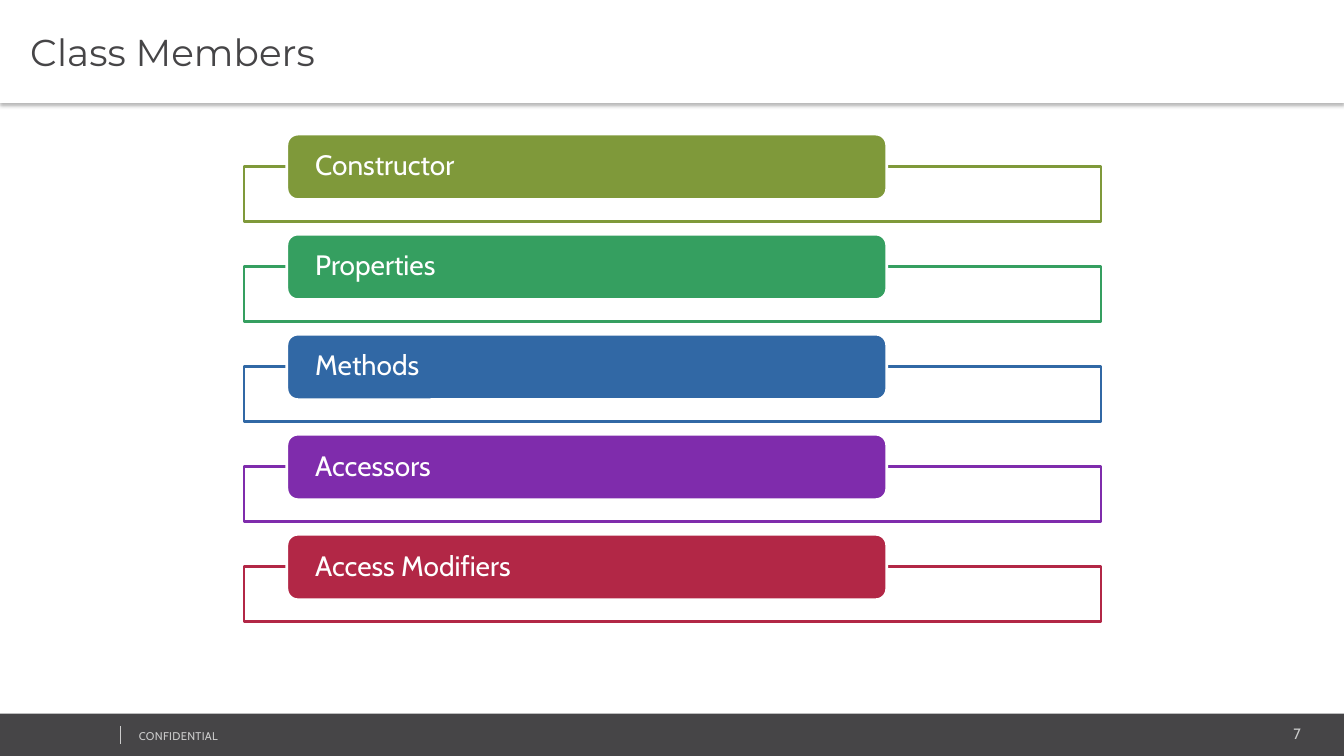
from lxml import etree
from pptx import Presentation
from pptx import util as u
from pptx.dml.color import RGBColor
from pptx.enum import shapes, text
from pptx.oxml import parse_xml
from pptx.oxml.ns import qn

I = u.Inches
DARK, PALE, WHITE = "464547", "CCCCCC", "FFFFFF"
MEMBERS = [
    ("Constructor", "7F993A"),
    ("Properties", "359F60"),
    ("Methods", "3168A5"),
    ("Accessors", "7F2CAC"),
    ("Access Modifiers", "B22746"),
]
TITLE_SHADOW = (
    '<a:effectLst xmlns:a="http://schemas.openxmlformats.org/drawingml/2006/main">'
    '<a:outerShdw blurRad="39370" dist="25400" dir="5400000" algn="t" rotWithShape="0">'
    '<a:srgbClr val="000000"><a:alpha val="30000"/></a:srgbClr>'
    '</a:outerShdw></a:effectLst>'
)


def rgb(value):
    """Turn a hex string into a colour."""
    return RGBColor.from_string(value)


def write(sp, words, size, font, color, insets, align=text.PP_ALIGN.LEFT):
    """Put one middle-anchored line of text in a shape and return its paragraph."""
    tf = sp.text_frame
    tf.word_wrap = True
    tf.auto_size = text.MSO_AUTO_SIZE.NONE
    tf.vertical_anchor = text.MSO_ANCHOR.MIDDLE
    tf.margin_left, tf.margin_top, tf.margin_right, tf.margin_bottom = map(I, insets)
    p = tf.paragraphs[0]
    p.alignment = align
    r = p.add_run()
    r.text = words
    r.font.size = u.Pt(size)
    r.font.name = font
    r.font.color.rgb = rgb(color)
    return p


def add_box(s, kind, x, y, w, h, fill, line=None):
    """Add a filled shape without shadow, outlined at 2 pt if a line colour is given."""
    sp = s.shapes.add_shape(kind, I(x), I(y), I(w), I(h))
    sp.shadow.inherit = False
    sp.fill.solid()
    sp.fill.fore_color.rgb = rgb(fill)
    if line:
        sp.line.color.rgb = rgb(line)
        sp.line.width = u.Pt(2)
    else:
        sp.line.fill.background()
    return sp


def add_title(s, x, y, w, h):
    """Style the title placeholder as a white band with a soft shadow."""
    sp = s.shapes.title
    sp.left, sp.top, sp.width, sp.height = I(x), I(y), I(w), I(h)
    sp.fill.solid()
    sp.fill.fore_color.rgb = rgb(WHITE)
    sp.element.spPr.append(parse_xml(TITLE_SHADOW))
    write(sp, "Class Members", 26.7, "Montserrat", DARK, (0.3, 0.04, 0.07, 0.04))


def add_member(s, x, y, w, h, name, color):
    """Draw an open frame with a coloured label over its top edge."""
    label_h = 0.65
    frame_h = 0.55
    frame = add_box(s, shapes.MSO_SHAPE.RECTANGLE, x, y + h - frame_h, w, frame_h, WHITE, color)
    tint = frame.element.spPr.find(qn("a:solidFill"))[0]
    etree.SubElement(tint, qn("a:alpha"), val="90000")
    label = add_box(s, shapes.MSO_SHAPE.ROUNDED_RECTANGLE,
                    x + w * 0.05, y, w * 0.7, label_h, color, WHITE)
    p = write(label, name, 20, "Cabin", WHITE, (0.25, 0, 0.25, 0))
    p.line_spacing = 0.9


def add_members(s, x, y, w, h):
    """Stack the class members at an equal pitch down the box."""
    item_h = 0.87
    pitch = (h - item_h) / (len(MEMBERS) - 1)
    for i, (name, color) in enumerate(MEMBERS):
        add_member(s, x, y + i * pitch, w, item_h, name, color)


def add_footer(s, x, y, w, h):
    """Draw the dark footer with divider, notice and page number."""
    add_box(s, shapes.MSO_SHAPE.RECTANGLE, x, y, w, h, DARK)
    divider = s.shapes.add_connector(shapes.MSO_CONNECTOR.STRAIGHT,
                                     I(x + 1.19), I(y + 0.12), I(x + 1.19), I(y + 0.3))
    divider.line.color.rgb = rgb(PALE)
    divider.line.width = u.Pt(0.25)
    etree.SubElement(divider.element.spPr, qn("a:effectLst"))
    notice = s.shapes.add_textbox(I(x + 1.28), I(y + 0.1), I(3.38), I(0.24))
    p = write(notice, "CONFIDENTIAL", 8, "Cabin", PALE, (0.1, 0.05, 0.1, 0.05))
    p.runs[0].font._element.set("spc", "20")
    number = s.shapes.add_textbox(I(x + 10.82), I(y + 0.06), I(2.18), I(0.28))
    write(number, "7", 10.7, "Cabin", PALE, (0.1, 0.05, 0.1, 0.05), text.PP_ALIGN.RIGHT)


def main():
    """Build the slide and save it."""
    prs = Presentation()
    prs.slide_width, prs.slide_height = I(13.33), I(7.5)
    s = prs.slides.add_slide(prs.slide_layouts[5])
    add_footer(s, 0, 7.08, 13.33, 0.42)
    add_title(s, 0, 0, 13.33, 1.02)
    add_members(s, 2.42, 1.33, 8.5, 4.84)
    prs.save("out.pptx")


if __name__ == "__main__":
    main()
